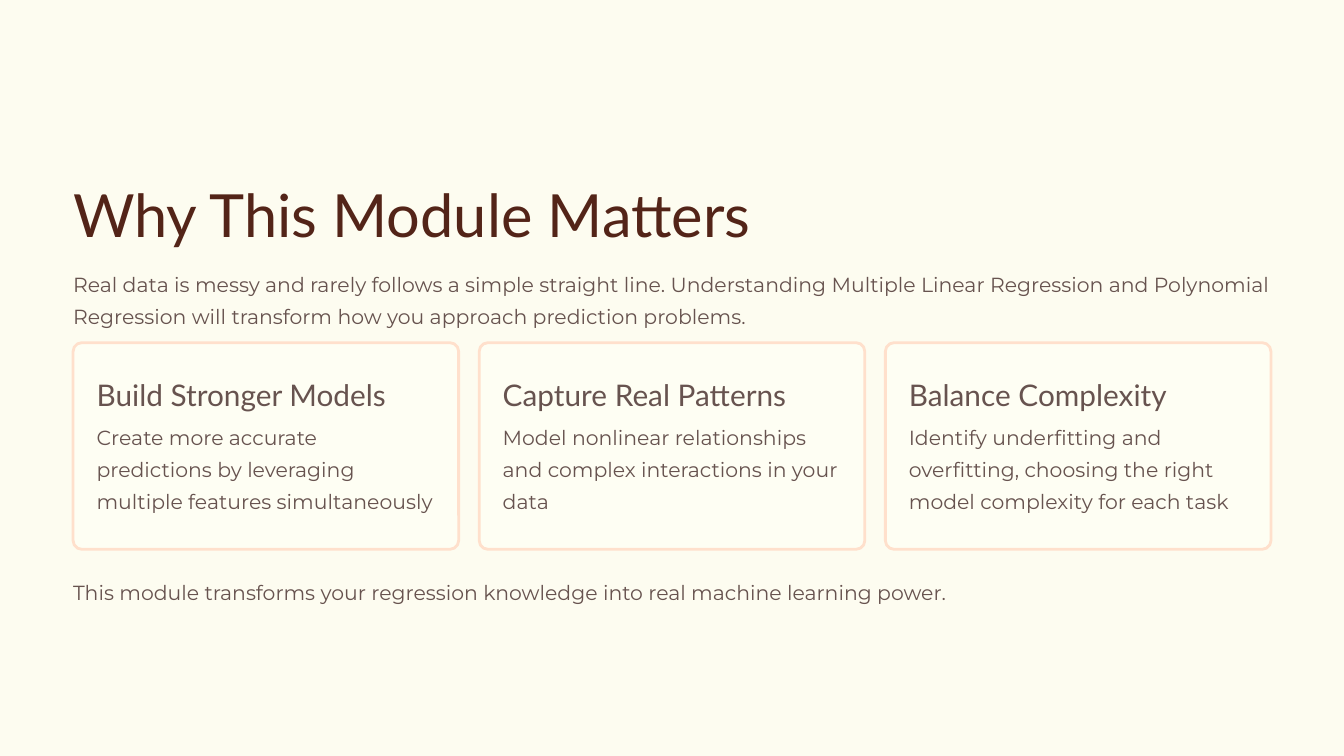
import pptx
import pptx.util
import pptx.dml.color
import pptx.enum.shapes
from lxml import etree

Inches = pptx.util.Inches
Pt = pptx.util.Pt
CREAM, PEACH, BROWN, DARK = "FFFFF4", "FFE0CC", "67534F", "532418"


def color(code):
    return pptx.dml.color.RGBColor.from_string(code)


def write(left, top, width, height, text, size=17.5, font="Montserrat", ink=BROWN, lines=1.31):
    """Add a one-paragraph text box without margins."""
    box = slide.shapes.add_textbox(Inches(left), Inches(top), Inches(width), Inches(height))
    frame = box.text_frame
    frame.word_wrap = True
    frame.margin_left = frame.margin_right = frame.margin_top = frame.margin_bottom = 0
    frame.text = text
    para = frame.paragraphs[0]
    para.line_spacing = lines
    run = para.runs[0]
    run.font.size = Pt(size)
    run.font.name = font
    run.font.color.rgb = color(ink)


deck = pptx.Presentation()
deck.slide_width, deck.slide_height = Inches(16), Inches(9)
slide = deck.slides.add_slide(deck.slide_layouts[6])
slide.background.fill.solid()
slide.background.fill.fore_color.rgb = color("FDFCF0")

edge, full = 0.87, 14.26
write(edge, 1.86, 8.49, 0.93, "Why This Module Matters", 51, "Lato", DARK, 1.3)
write(edge, 3.15, full, 0.64,
      "Real data is messy and rarely follows a simple straight line. Understanding Multiple "
      "Linear Regression and Polynomial Regression will transform how you approach "
      "prediction problems.")

cards = [
    ("Build Stronger Models",
     "Create more accurate predictions by leveraging multiple features simultaneously"),
    ("Capture Real Patterns",
     "Model nonlinear relationships and complex interactions in your data"),
    ("Balance Complexity",
     "Identify underfitting and overfitting, choosing the right model complexity for each task"),
]
top, wide, high, pad = 4.08, 4.59, 2.46, 0.28
step = (full - wide) / (len(cards) - 1)
for i, (head, body) in enumerate(cards):
    left = edge + i * step
    card = slide.shapes.add_shape(
        pptx.enum.shapes.MSO_SHAPE.ROUNDED_RECTANGLE,
        Inches(left), Inches(top), Inches(wide), Inches(high))
    card.adjustments[0] = 0.042
    card.shadow.inherit = False
    card.fill.solid()
    card.fill.fore_color.rgb = color(CREAM)
    tint = card.fill._xPr.find(".//" + pptx.oxml.ns.qn("a:srgbClr"))
    etree.SubElement(tint, pptx.oxml.ns.qn("a:alpha"), val="95000")
    card.line.color.rgb = color(PEACH)
    card.line.width = Pt(2.4)
    inner = wide - 2 * pad
    write(left + pad, top + pad, inner, 0.46, head, 25.5, "Lato", lines=1.29)
    write(left + pad, 4.97, inner, 1.29, body)

write(edge, 6.82, full, 0.32,
      "This module transforms your regression knowledge into real machine learning power.")

deck.save("out.pptx")
